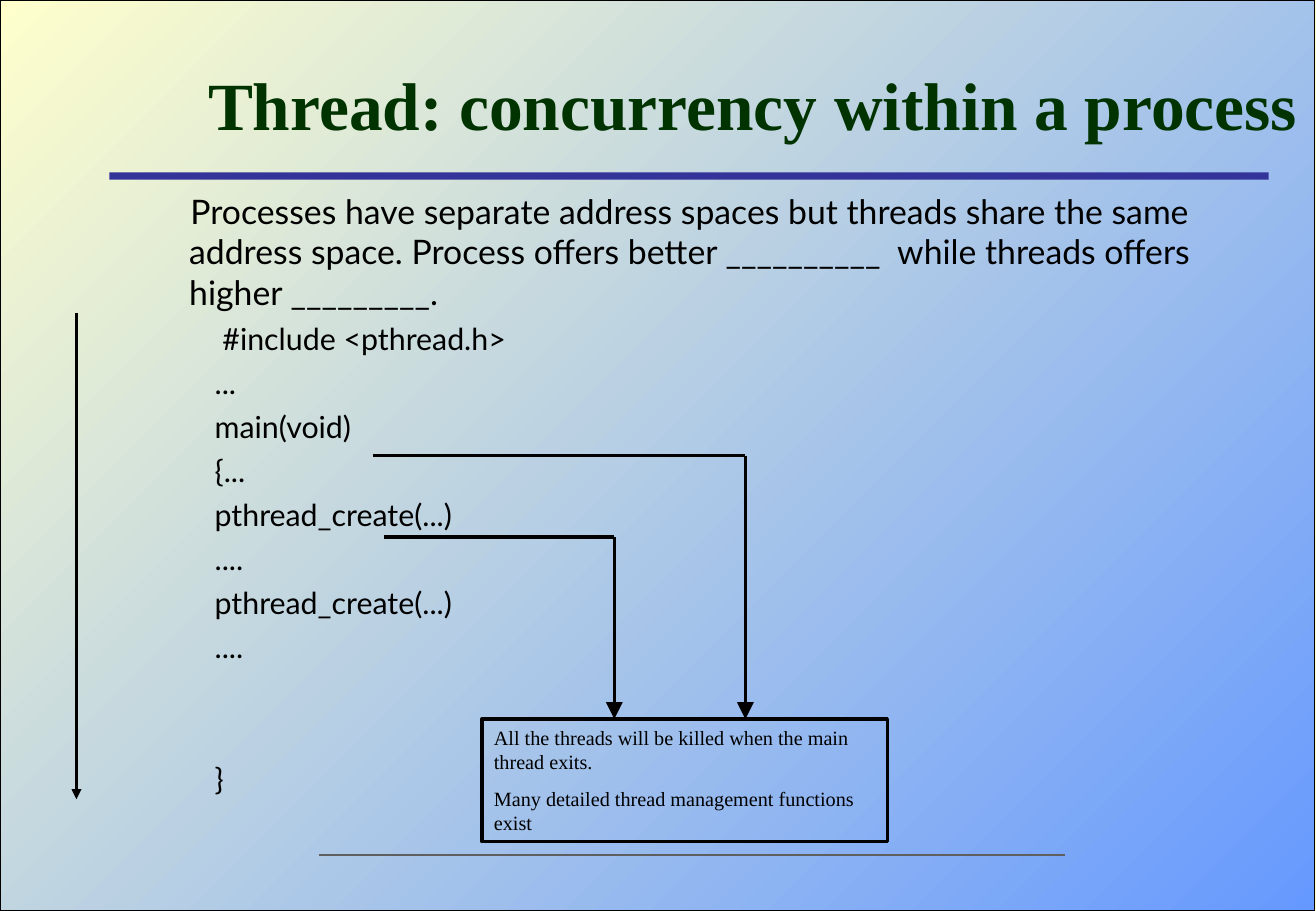
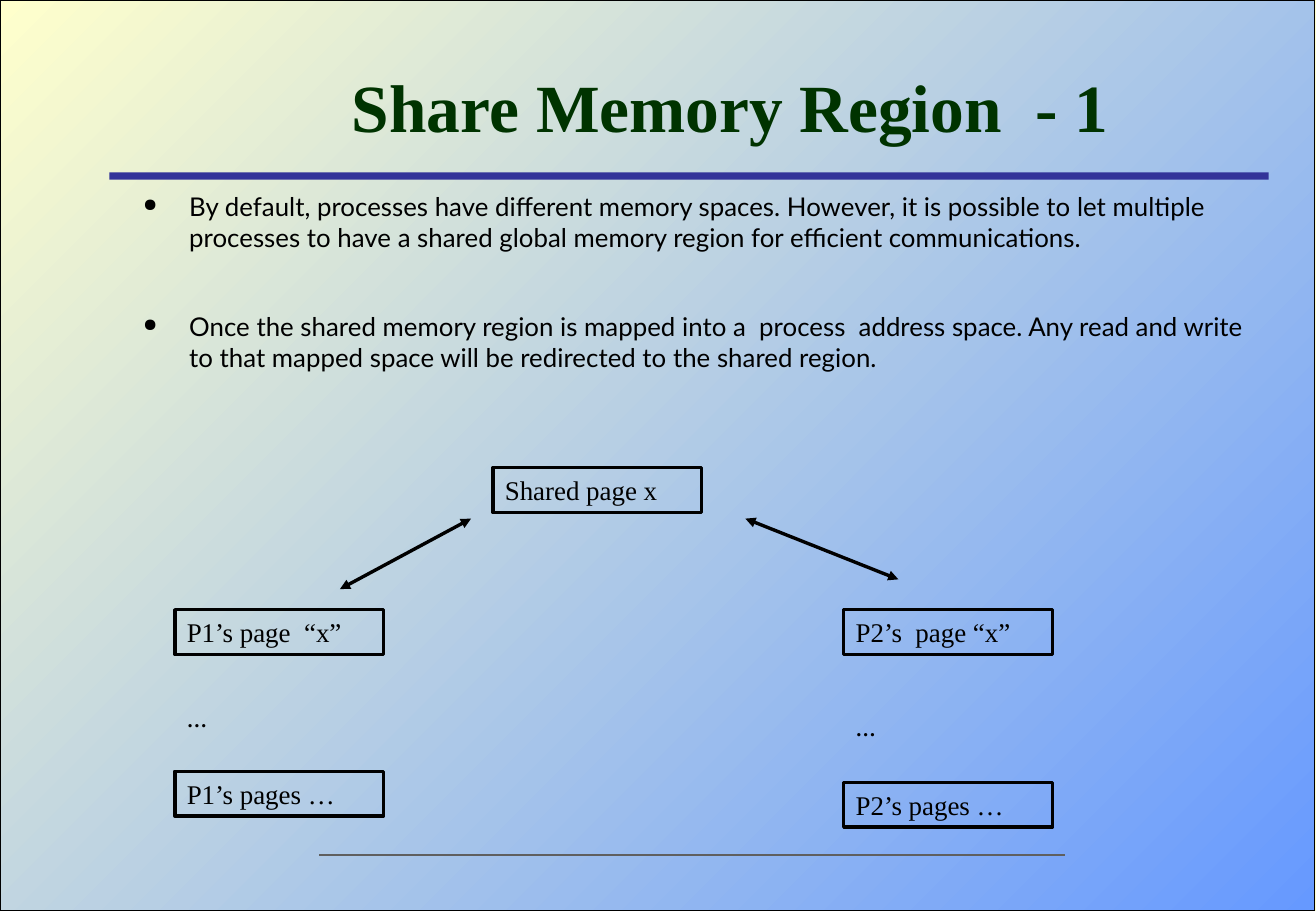
from lxml import etree
from pptx import Presentation
from pptx import util as u
from pptx.dml.color import RGBColor
from pptx.enum import shapes, text
from pptx.oxml.ns import qn

BLACK, GREEN, INDIGO, GREY = "000000", "003300", "333399", "5F5F5F"
BLUE, CREAM = "6699FF", "FFFFCC"
SERIF, SANS = "Times New Roman", "Lato"
TITLE = {"name": SERIF, "size": u.Pt(40), "bold": True}
INTRO = {"name": SANS, "size": u.Pt(20)}
CODE = {"name": SANS, "size": u.Pt(18)}
BULLET = {"name": SANS, "size": u.Pt(15.3)}
NOTE = {"name": SERIF, "size": u.Pt(12)}
LABEL = {"name": SERIF, "size": u.Pt(16)}
DOTS = {"name": SERIF, "size": u.Pt(12), "bold": True}

THREAD_INTRO = (
    "Processes have separate address spaces but threads share the same "
    "address space. Process offers better __________  while threads offers "
    "higher _________."
)
CODE_LINES = [
    " #include <pthread.h>", "...", "main(void)", "{...",
    "pthread_create(...)", "....", "pthread_create(...)", "....", "}",
]
CODE_GAP, CLOSING_GAP = 4.5, 56.7
THREAD_NOTES = [
    "All the threads will be killed when the main thread exits.",
    "Many detailed thread management functions exist",
]
NOTE_BOX = (3.97, 5.92, 3.34, 1.01)
# start x, start y, x of the drop to the note box
THREADS = [(3.07, 3.75, 6.14), (3.16, 4.42, 5.06)]

MEMORY_POINTS = [
    "By default, processes have different memory spaces. However, it is "
    "possible to let multiple processes to have a shared global memory region "
    "for efficient communications.",
    "Once the shared memory region is mapped into a  process  address space. "
    "Any read and write to that mapped space will be redirected to the shared "
    "region.",
]
PAGE_SIZE = (1.72, 0.37)
# text, left, top
PAGES = [
    ("Shared page x", 4.06, 3.85),
    ("P1’s page  “x”", 1.44, 5.02),
    ("P2’s  page “x”", 6.95, 5.02),
    ("P1’s pages …", 1.44, 6.35),
    ("P2’s pages …", 6.95, 6.44),
]
ELLIPSES = [(1.44, 5.77), (6.95, 5.85)]
MAPPINGS = [((2.8, 4.85), (3.88, 4.27)), ((7.4, 4.77), (6.14, 4.27))]


def rgb(code):
    return RGBColor.from_string(code)


def inches(values):
    return [u.Inches(value) for value in values]


def add_rect(page, place, fill=None, outline=None, width=2):
    box = page.shapes.add_shape(shapes.MSO_SHAPE.RECTANGLE, *inches(place))
    box.shadow.inherit = False
    if fill:
        box.fill.solid()
        box.fill.fore_color.rgb = rgb(fill)
    else:
        box.fill.background()
    if outline:
        box.line.color.rgb = rgb(outline)
        box.line.width = u.Pt(width)
    else:
        box.line.fill.background()
    return box


def add_line(page, start, end, color=BLACK, width=2, ends=(), size="med"):
    """Draw a line; ends names the tips ("headEnd", "tailEnd") with a triangle."""
    line = page.shapes.add_connector(
        shapes.MSO_CONNECTOR.STRAIGHT, *inches(start + end))
    line.line.color.rgb = rgb(color)
    line.line.width = u.Pt(width)
    properties = line._element.spPr
    for tip in ends:
        etree.SubElement(properties.find(qn("a:ln")), qn(f"a:{tip}"),
                         type="triangle", w=size, len=size)
    etree.SubElement(properties, qn("a:effectLst"))


def add_textbox(page, place):
    return page.shapes.add_textbox(*inches(place))


def write(box, lines, style, color=BLACK, gap=0, anchor=text.MSO_ANCHOR.TOP,
          align=text.PP_ALIGN.LEFT):
    frame = box.text_frame
    frame.word_wrap = True
    frame.vertical_anchor = anchor
    for index, line in enumerate(lines):
        para = frame.paragraphs[0] if index == 0 else frame.add_paragraph()
        para.alignment = align
        if index:
            para.space_before = u.Pt(gap)
        span = para.add_run()
        span.text = line
        span.font.color.rgb = rgb(color)
        for name, value in style.items():
            setattr(span.font, name, value)
    return frame.paragraphs


def set_indent(para, left, first, bullet=None):
    properties = para._p.get_or_add_pPr()
    properties.set("marL", str(u.Inches(left)))
    properties.set("indent", str(u.Inches(first)))
    if bullet:
        color = etree.SubElement(properties, qn("a:buClr"))
        etree.SubElement(color, qn("a:srgbClr"), val=BLACK)
        etree.SubElement(properties, qn("a:buSzPct"), val="70000")
        etree.SubElement(properties, qn("a:buChar"), char=bullet)


def add_page(deck, title, title_place):
    page = deck.slides.add_slide(deck.slide_layouts[6])
    page.background.fill.solid()
    page.background.fill.fore_color.rgb = rgb(CREAM)
    backdrop = add_rect(page, (0, 0, 10.83, 7.5), outline=BLACK, width=0.75)
    backdrop.fill.gradient()
    backdrop.fill.gradient_angle = 135
    for stop, color in zip(backdrop.fill.gradient_stops, (BLUE, CREAM)):
        stop.color.rgb = rgb(color)
    add_rect(page, (0.9, 1.42, 9.55, 0.06), fill=INDIGO)
    add_line(page, (2.63, 7.04), (8.77, 7.04), GREY, 1.5)
    write(add_textbox(page, title_place), [title], TITLE, GREEN,
          anchor=text.MSO_ANCHOR.MIDDLE, align=text.PP_ALIGN.CENTER)
    return page


def add_thread_page(deck):
    page = add_page(deck, "Thread: concurrency within a process",
                    (1.56, 0.44, 9.28, 0.83))
    body = add_textbox(page, (1.08, 1.52, 9.48, 5.31))
    intro, *code = write(body, [THREAD_INTRO, *CODE_LINES], CODE, gap=CODE_GAP)
    set_indent(intro, 0.38, 0.01)
    intro.runs[0].font.size = INTRO["size"]
    for para in code:
        set_indent(para, 0.9, -0.31)
    code[-1].space_before = u.Pt(CLOSING_GAP)

    add_line(page, (0.63, 2.58), (0.63, 6.58), ends=["tailEnd"])
    for left, top, drop in THREADS:
        add_line(page, (left, top), (drop, top))
        add_line(page, (drop, top), (drop, NOTE_BOX[1]),
                 ends=["tailEnd"], size="lg")
    write(add_rect(page, NOTE_BOX, outline=BLACK), THREAD_NOTES, NOTE, gap=7.5)


def add_memory_page(deck):
    page = add_page(deck, "Share Memory Region  - 1", (1.56, 0.33, 8.91, 1.08))
    body = add_textbox(page, (1.08, 1.52, 9.48, 1.77))
    for para in write(body, MEMORY_POINTS, BULLET, gap=34.2):
        set_indent(para, 0.38, -0.38, "●")
    for label, left, top in PAGES:
        box = add_rect(page, (left, top, *PAGE_SIZE), outline=BLACK)
        write(box, [label], LABEL)
    for left, top in ELLIPSES:
        write(add_textbox(page, (left, top, 1.62, 0.3)), ["…"], DOTS)
    for start, end in MAPPINGS:
        add_line(page, start, end, ends=["headEnd", "tailEnd"])


def main():
    deck = Presentation()
    deck.slide_width, deck.slide_height = inches((10.84, 7.5))
    add_thread_page(deck)
    add_memory_page(deck)
    deck.save("out.pptx")


if __name__ == "__main__":
    main()
